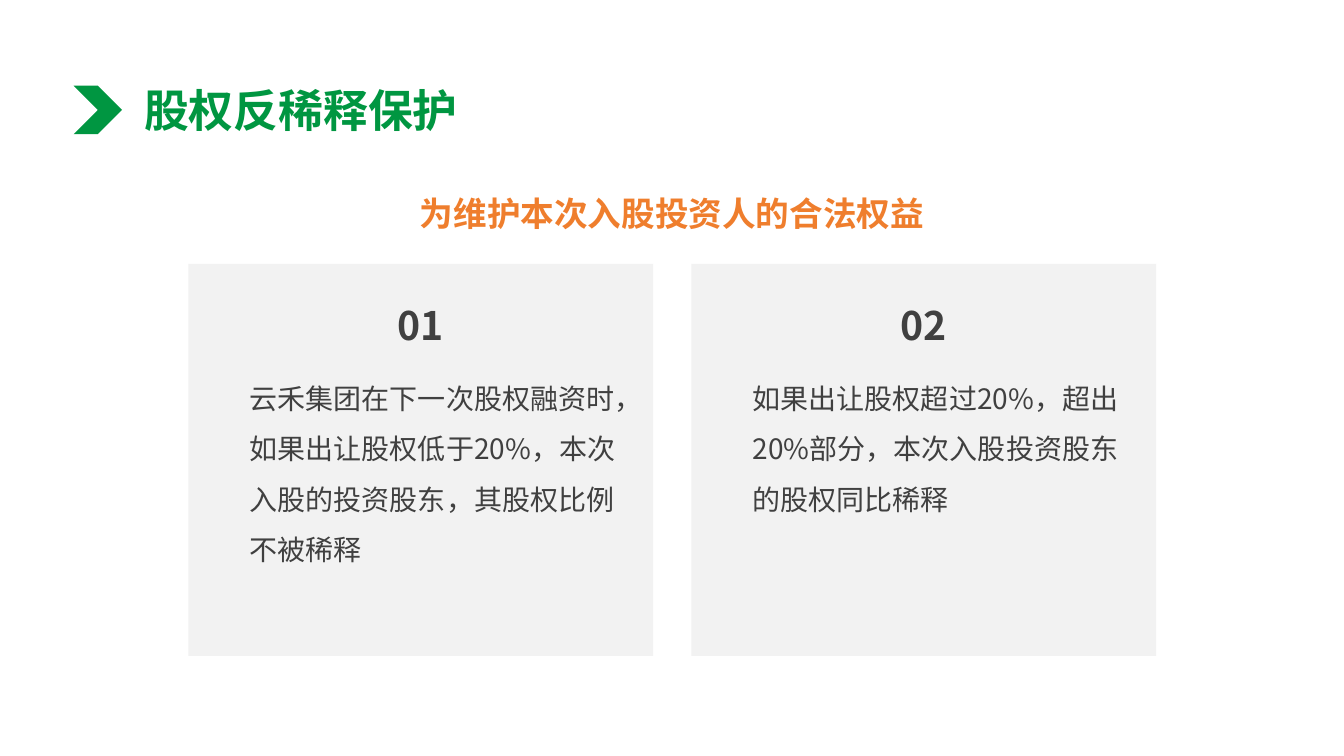
import pptx
import pptx.util
import pptx.dml.color
import pptx.enum.shapes
import pptx.enum.text
import pptx.oxml.ns
import lxml.etree

Pt = pptx.util.Pt
RGBColor = pptx.dml.color.RGBColor
MSO_SHAPE = pptx.enum.shapes.MSO_SHAPE
PP_ALIGN = pptx.enum.text.PP_ALIGN

GREEN = RGBColor(0x00, 0x96, 0x41)
ORANGE = RGBColor(0xEF, 0x7E, 0x2D)
GREY = RGBColor(0x40, 0x40, 0x40)
PANEL = RGBColor(0xF2, 0xF2, 0xF2)
FONT = "Noto Sans CJK SC"

CARD_LEFT, CARD_TOP = 134.6, 188.6
CARD_WIDTH, CARD_HEIGHT = 332, 280
CARD_PITCH = 359.3

TERMS = [
    ("01", "云禾集团在下一次股权融资时，如果出让股权低于20%，本次入股的投资股东，其股权比例不被稀释", 148.3),
    ("02", "如果出让股权超过20%，超出20%部分，本次入股投资股东的股权同比稀释", 112.3),
]


def add_block(slide, preset, box, color):
    block = slide.shapes.add_shape(preset, *map(Pt, box))
    block.shadow.inherit = False
    block.fill.solid()
    block.fill.fore_color.rgb = color
    block.line.fill.background()


def add_label(slide, text, box, size, color, bold=True, wrap=True, **paragraph_format):
    """Add a one-paragraph text box; extra keywords are paragraph attributes."""
    frame = slide.shapes.add_textbox(*map(Pt, box)).text_frame
    frame.word_wrap = wrap
    paragraph = frame.paragraphs[0]
    for name, value in paragraph_format.items():
        setattr(paragraph, name, value)
    run = paragraph.add_run()
    run.text = text
    for name, value in {"name": FONT, "size": Pt(size), "bold": bold}.items():
        setattr(run.font, name, value)
    run.font.color.rgb = color
    east_asian = lxml.etree.SubElement(run._r.get_or_add_rPr(), pptx.oxml.ns.qn("a:ea"))
    east_asian.set("typeface", FONT)


def add_card(slide, left, number, term, term_height):
    add_block(slide, MSO_SHAPE.RECTANGLE, (left, CARD_TOP, CARD_WIDTH, CARD_HEIGHT), PANEL)
    number_width = 49.7
    number_left = left + (CARD_WIDTH - number_width) / 2
    add_label(slide, number, (number_left, 211.7, number_width, 41), 28, GREY,
              wrap=False, alignment=PP_ALIGN.CENTER)
    add_label(slide, term, (left + 36.7, 257, 284.4, term_height), 20, GREY,
              bold=False, line_spacing=1.5)


def main():
    deck = pptx.Presentation()
    deck.slide_width, deck.slide_height = Pt(960), Pt(540)
    slide = deck.slides.add_slide(deck.slide_layouts[6])

    add_block(slide, MSO_SHAPE.CHEVRON, (52.6, 61.2, 34.6, 34.6), GREEN)
    add_label(slide, "股权反稀释保护", (95.8, 55.4, 642, 46), 32, GREEN)
    add_label(slide, "为维护本次入股投资人的合法权益", (159, 134.6, 642, 36), 24, ORANGE,
              alignment=PP_ALIGN.CENTER)
    for index, (number, term, term_height) in enumerate(TERMS):
        add_card(slide, CARD_LEFT + index * CARD_PITCH, number, term, term_height)

    deck.save("out.pptx")


if __name__ == "__main__":
    main()
